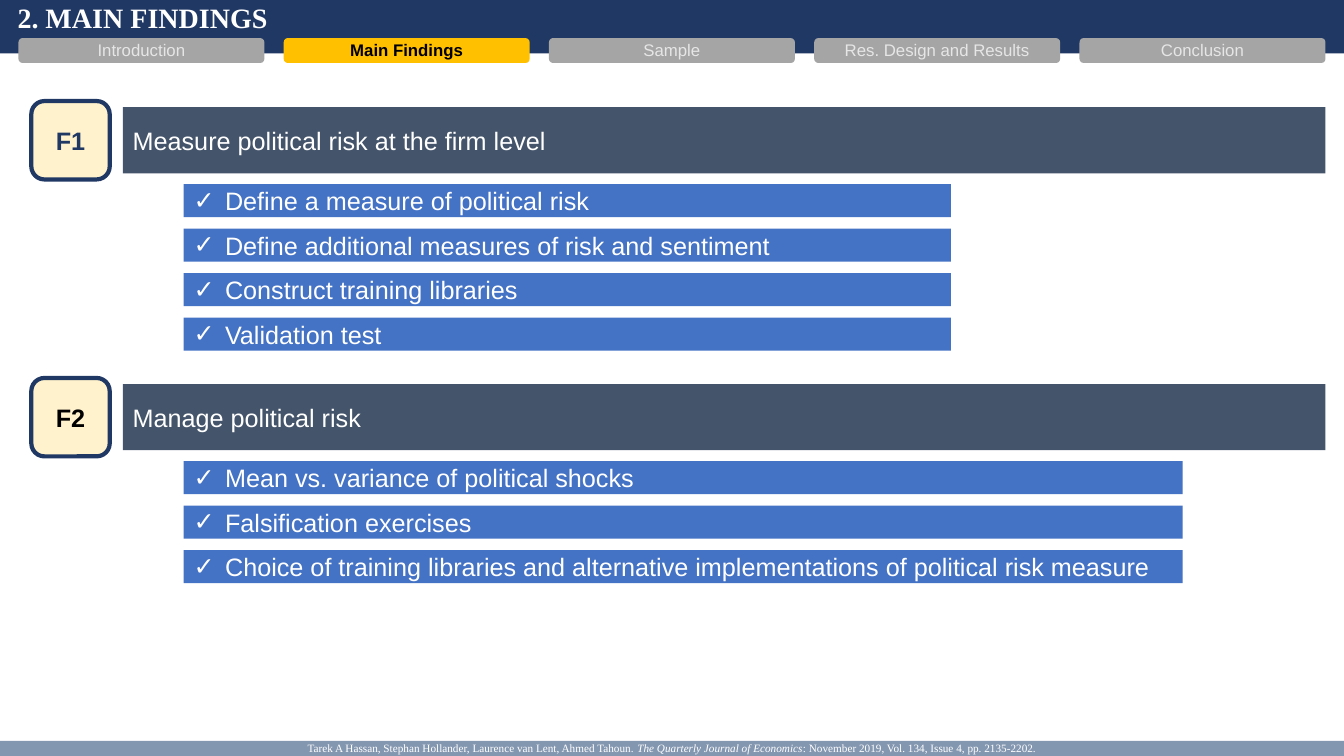
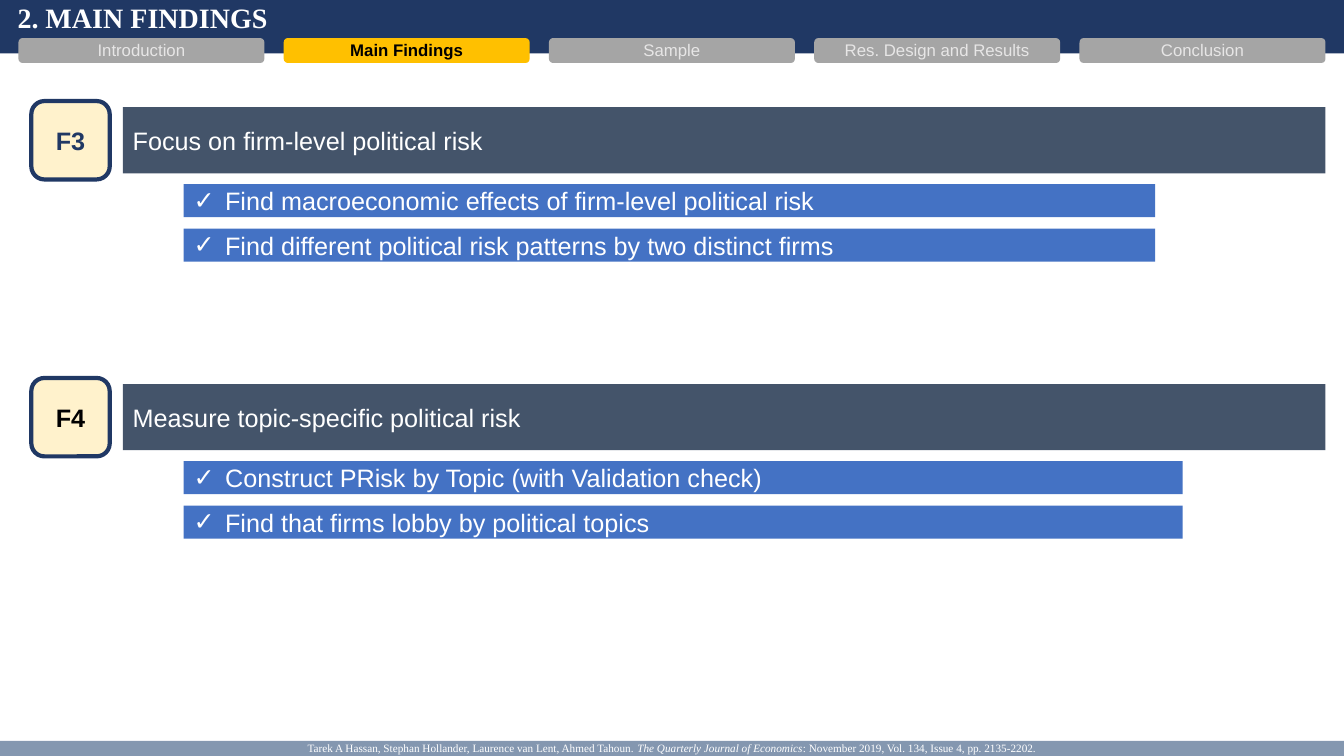
from dataclasses import dataclass

from lxml import etree
from pptx import Presentation
from pptx.dml.color import RGBColor
from pptx.enum import shapes, text
from pptx.oxml import ns
from pptx.util import Pt

# Content
TITLE = "2. MAIN FINDINGS"
SECTIONS = ["Introduction", "Main Findings", "Sample", "Res. Design and Results", "Conclusion"]
CURRENT = "Main Findings"
CITATION = [
    ("Tarek A Hassan, Stephan Hollander, Laurence van Lent, Ahmed Tahoun. ", False),
    ("The Quarterly Journal of Economics", True),
    (": November 2019, Vol. 134, Issue 4, pp. 2135-2202.", False),
]
# One list per slide: (badge, heading, width of the step bars, steps)
SLIDES = [
    [
        ("F1", "Measure political risk at the firm level", 548, [
            "Define a measure of political risk",
            "Define additional measures of risk and sentiment",
            "Construct training libraries",
            "Validation test",
        ]),
        ("F2", "Manage political risk", 713.5, [
            "Mean vs. variance of political shocks",
            "Falsification exercises",
            "Choice of training libraries and alternative implementations of political risk measure",
        ]),
    ],
    [
        ("F3", "Focus on firm-level political risk", 694, [
            "Find macroeconomic effects of firm-level political risk",
            "Find different political risk patterns by two distinct firms",
        ]),
        ("F4", "Measure topic-specific political risk", 713.5, [
            "Construct PRisk by Topic (with Validation check)",
            "Find that firms lobby by political topics",
        ]),
    ],
]


@dataclass(frozen=True)
class Theme:
    navy: str = "203864"
    slate: str = "44546A"
    blue: str = "4472C4"
    haze: str = "8497B0"
    gold: str = "FFC000"
    cream: str = "FFF2CC"
    gray: str = "A5A5A5"
    pale: str = "E7E6E6"
    white: str = "FFFFFF"
    black: str = "000000"
    sans: str = "Arial"
    serif: str = "Times New Roman"
    title_size: float = 20
    body_size: float = 18
    tab_size: float = 12
    citation_size: float = 8


T = Theme()

# Layout, in points
WIDTH, HEIGHT = 960, 540
MARGIN = 13.2
RIGHT = WIDTH - MARGIN
TAB_TOP, TAB_WIDTH, TAB_HEIGHT = 27.2, 175.7, 17.8
TAB_PITCH = (RIGHT - MARGIN - TAB_WIDTH) / (len(SECTIONS) - 1)
FINDING_TOP, FINDING_PITCH = 72.2, 197.8
BADGE_LEFT, BADGE_SIZE = 22.4, 56
HEADING_LEFT, HEADING_HEIGHT = 87.7, 47.2
STEP_LEFT, STEP_OFFSET, STEP_HEIGHT, STEP_PITCH = 131.2, 59.3, 23.6, 31.8
STEP_INDENT = 22.5
FOOTER_HEIGHT = 10.8

RECT = shapes.MSO_SHAPE.RECTANGLE
ROUNDED = shapes.MSO_SHAPE.ROUNDED_RECTANGLE
CENTER, LEFT = text.PP_ALIGN.CENTER, text.PP_ALIGN.LEFT
TOP, MIDDLE = text.MSO_ANCHOR.TOP, text.MSO_ANCHOR.MIDDLE


def write(shape, content, *, size=T.body_size, color=T.white, font=T.sans, bold=False,
          align=LEFT, anchor=MIDDLE, bullet=None):
    """Fill a shape with one paragraph; content is a string or (text, italic) pairs."""
    frame = shape.text_frame
    frame.word_wrap = True
    frame.auto_size = text.MSO_AUTO_SIZE.NONE
    frame.vertical_anchor = anchor
    frame.margin_left = frame.margin_right = Pt(7.2)
    frame.margin_top = frame.margin_bottom = 0
    paragraph = frame.paragraphs[0]
    paragraph.alignment = align
    if bullet:
        props = paragraph._p.get_or_add_pPr()
        props.set("marL", str(Pt(STEP_INDENT)))
        props.set("indent", str(-Pt(STEP_INDENT)))
        etree.SubElement(props, ns.qn("a:buFont")).set("typeface", font)
        etree.SubElement(props, ns.qn("a:buChar")).set("char", bullet)
    for words, italic in [(content, False)] if isinstance(content, str) else content:
        run = paragraph.add_run()
        run.text = words
        run.font.name, run.font.size = font, Pt(size)
        run.font.bold, run.font.italic = bold, italic
        run.font.color.rgb = RGBColor.from_string(color)


def add_block(slide, kind, left, top, width, height, fill, outline=None):
    block = slide.shapes.add_shape(kind, Pt(left), Pt(top), Pt(width), Pt(height))
    block.shadow.inherit = False
    block.fill.solid()
    block.fill.fore_color.rgb = RGBColor.from_string(fill)
    if outline:
        block.line.color.rgb = RGBColor.from_string(outline)
        block.line.width = Pt(3)
    else:
        block.line.fill.background()
    return block


def add_frame(slide):
    """Title band, section tabs and citation footer."""
    band = add_block(slide, RECT, 0, 0, WIDTH, 38.2, T.navy)
    title = slide.shapes.title
    title.element.addprevious(band.element)
    title.left, title.top, title.width, title.height = Pt(5.3), Pt(0), Pt(940), Pt(26)
    write(title, TITLE, size=T.title_size, font=T.serif, bold=True, anchor=TOP)

    for i, section in enumerate(SECTIONS):
        active = section == CURRENT
        tab = add_block(slide, ROUNDED, MARGIN + i * TAB_PITCH, TAB_TOP, TAB_WIDTH, TAB_HEIGHT,
                        T.gold if active else T.gray)
        write(tab, section, size=T.tab_size, color=T.black if active else T.pale,
              bold=active, align=CENTER, anchor=TOP)

    footer = add_block(slide, RECT, 0, HEIGHT - FOOTER_HEIGHT, WIDTH, FOOTER_HEIGHT, T.haze)
    write(footer, CITATION, size=T.citation_size, font=T.serif, align=CENTER)


def add_finding(slide, top, badge_color, label, heading, step_width, steps):
    badge = add_block(slide, ROUNDED, BADGE_LEFT, top, BADGE_SIZE, BADGE_SIZE, T.cream, T.navy)
    write(badge, label, color=badge_color, bold=True, align=CENTER)

    heading_top = top + (BADGE_SIZE - HEADING_HEIGHT) / 2
    heading_bar = add_block(slide, RECT, HEADING_LEFT, heading_top,
                            RIGHT - HEADING_LEFT, HEADING_HEIGHT, T.slate)
    write(heading_bar, heading)

    for i, step in enumerate(steps):
        step_bar = add_block(slide, RECT, STEP_LEFT, top + STEP_OFFSET + i * STEP_PITCH,
                             step_width, STEP_HEIGHT, T.blue)
        write(step_bar, step, bullet="✓")


def main():
    deck = Presentation()
    deck.slide_width, deck.slide_height = Pt(WIDTH), Pt(HEIGHT)
    title_only = deck.slide_layouts[5]
    for findings in SLIDES:
        slide = deck.slides.add_slide(title_only)
        add_frame(slide)
        for i, (finding, badge_color) in enumerate(zip(findings, (T.navy, T.black))):
            add_finding(slide, FINDING_TOP + i * FINDING_PITCH, badge_color, *finding)
    deck.save("out.pptx")


if __name__ == "__main__":
    main()
